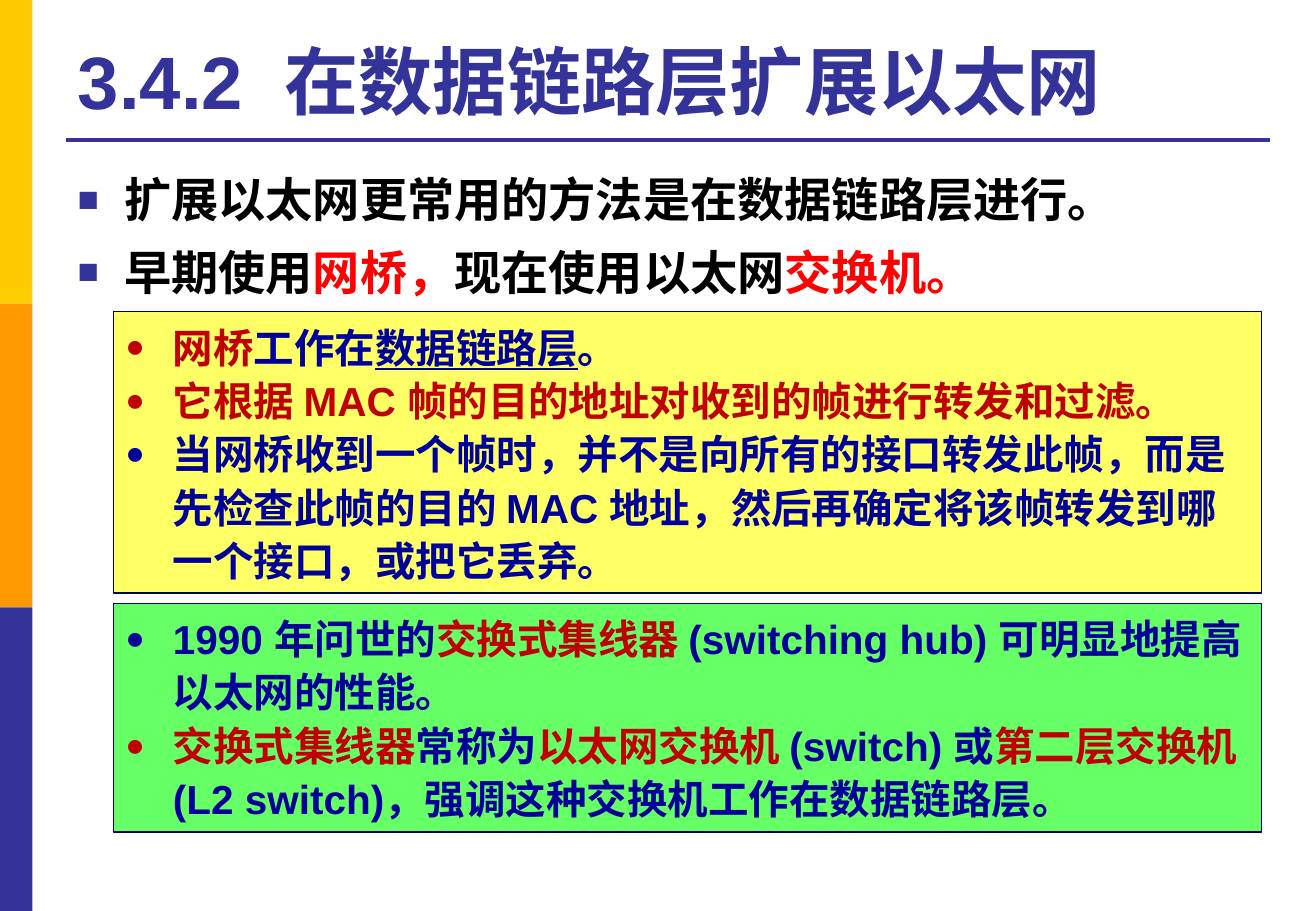
from dataclasses import dataclass
from typing import Optional

from lxml.etree import SubElement
from pptx import Presentation
from pptx.dml.color import RGBColor
from pptx.enum.lang import MSO_LANGUAGE_ID as Language
from pptx.enum.shapes import MSO_CONNECTOR, MSO_SHAPE
from pptx.enum.text import MSO_ANCHOR, MSO_AUTO_SIZE, PP_ALIGN
from pptx.oxml.ns import qn
from pptx.slide import Slide
from pptx.text.text import TextFrame, _Paragraph as Paragraph, _Run as Run
from pptx.util import Emu, Pt

EMU_PER_PX = 7620
FONT = "Arial"
COLORS = {
    "yellow": "FFCC00",
    "orange": "FF9900",
    "indigo": "333399",
    "black": "000000",
    "red": "FF0000",
    "crimson": "C00000",
    "navy": "000099",
    "outline": "000066",
    "bridge": "FFFF66",
    "switch": "66FF66",
}


@dataclass(frozen=True)
class Span:
    text: str
    color: str
    underline: bool = False


@dataclass(frozen=True)
class ListStyle:
    size: int
    indent: int
    bullet: str
    bullet_percent: int
    space_before: int = 0
    bullet_color: Optional[str] = None


@dataclass(frozen=True)
class Panel:
    top: int
    height: int
    fill: str
    items: list[list[Span]]


BODY_STYLE = ListStyle(28, 46, "■", 75, 6, "indigo")
PANEL_STYLE = ListStyle(24, 47, "●", 80)

BODY_ITEMS = [
    [Span("扩展以太网更常用的方法是在数据链路层进行。", "black")],
    [
        Span("早期使用", "black"),
        Span("网桥，", "red"),
        Span("现在使用以太网", "black"),
        Span("交换机。", "red"),
    ],
]

PANELS = [
    Panel(308, 278, "bridge", [
        [
            Span("网桥", "crimson"),
            Span("工作在", "navy"),
            Span("数据链路层", "navy", True),
            Span("。", "navy"),
        ],
        [Span("它根据 MAC 帧的目的地址对收到的帧进行转发和过滤。", "crimson")],
        [Span("当网桥收到一个帧时，并不是向所有的接口转发此帧，而是先检查此帧的"
              "目的 MAC 地址，然后再确定将该帧转发到哪一个接口，或把它丢弃。", "navy")],
    ]),
    Panel(596, 226, "switch", [
        [
            Span("1990 年问世的", "navy"),
            Span("交换式集线器 ", "crimson"),
            Span("(switching hub) 可明显地提高以太网的性能。", "navy"),
        ],
        [
            Span("交换式集线器", "crimson"),
            Span("常称为", "navy"),
            Span("以太网交换机 ", "crimson"),
            Span("(switch) 或", "navy"),
            Span("第二层交换机 ", "crimson"),
            Span("(L2 switch)，强调这种交换机工作在数据链路层。", "navy"),
        ],
    ]),
]


def px(length: int) -> Emu:
    return Emu(length * EMU_PER_PX)


def rgb(name: str) -> RGBColor:
    return RGBColor.from_string(COLORS[name])


def format_run(run: Run, size: int, color: str) -> None:
    run.font.name = FONT
    run.font.size = Pt(size)
    run.font.bold = True
    run.font.color.rgb = rgb(color)
    run.font.language_id = Language.SIMPLIFIED_CHINESE


def format_bullet(paragraph: Paragraph, style: ListStyle) -> None:
    properties = paragraph._p.get_or_add_pPr()
    properties.set("marL", str(px(style.indent)))
    properties.set("indent", str(-px(style.indent)))
    if style.bullet_color:
        color = SubElement(properties, qn("a:buClr"))
        SubElement(color, qn("a:srgbClr"), val=COLORS[style.bullet_color])
    SubElement(properties, qn("a:buSzPct"), val=str(style.bullet_percent * 1000))
    SubElement(properties, qn("a:buFont"), typeface=FONT)
    SubElement(properties, qn("a:buChar"), char=style.bullet)


def write_list(frame: TextFrame, items: list[list[Span]], style: ListStyle) -> None:
    frame.word_wrap = True
    frame.vertical_anchor = MSO_ANCHOR.TOP
    for index, spans in enumerate(items):
        paragraph = frame.add_paragraph() if index else frame.paragraphs[0]
        paragraph.alignment = PP_ALIGN.LEFT
        paragraph.line_spacing = 1.1
        paragraph.space_before = Pt(style.space_before)
        format_bullet(paragraph, style)
        for span in spans:
            run = paragraph.add_run()
            run.text = span.text
            format_run(run, style.size, span.color)
            if span.underline:
                run.font.underline = True


def add_rectangle(slide: Slide, left: int, top: int, width: int, height: int,
                  fill: str, outline: Optional[str] = None) -> TextFrame:
    shape = slide.shapes.add_shape(
        MSO_SHAPE.RECTANGLE, px(left), px(top), px(width), px(height))
    shape.shadow.inherit = False
    shape.fill.solid()
    shape.fill.fore_color.rgb = rgb(fill)
    if outline:
        shape.line.color.rgb = rgb(outline)
        shape.line.width = Pt(0.75)
    else:
        shape.line.fill.background()
    return shape.text_frame


def add_rule(slide: Slide) -> None:
    rule = slide.shapes.add_connector(
        MSO_CONNECTOR.STRAIGHT, px(65), px(138), px(1255), px(138))
    rule.line.color.rgb = rgb("indigo")
    rule.line.width = Pt(2.25)
    SubElement(rule._element.spPr, qn("a:effectLst"))


def write_title(slide: Slide) -> None:
    title = slide.shapes.title
    title.left, title.top, title.width, title.height = map(px, (65, 25, 1190, 104))
    frame = title.text_frame
    frame.text = "3.4.2  在数据链路层扩展以太网"
    frame.auto_size = MSO_AUTO_SIZE.NONE
    frame.vertical_anchor = MSO_ANCHOR.BOTTOM
    frame.paragraphs[0].alignment = PP_ALIGN.LEFT
    format_run(frame.paragraphs[0].runs[0], 44, "indigo")


def main() -> None:
    presentation = Presentation()
    presentation.slide_width = px(1300)
    presentation.slide_height = px(900)
    slide = presentation.slides.add_slide(
        presentation.slide_layouts.get_by_name("Title Only"))

    for index, color in enumerate(("yellow", "orange", "indigo")):
        add_rectangle(slide, 0, index * 300, 32, 300, color)
    add_rule(slide)
    write_title(slide)

    body = slide.shapes.add_textbox(px(65), px(157), px(1190), px(648))
    write_list(body.text_frame, BODY_ITEMS, BODY_STYLE)
    for panel in PANELS:
        frame = add_rectangle(
            slide, 112, panel.top, 1134, panel.height, panel.fill, "outline")
        write_list(frame, panel.items, PANEL_STYLE)
        frame.auto_size = MSO_AUTO_SIZE.SHAPE_TO_FIT_TEXT

    presentation.save("out.pptx")


if __name__ == "__main__":
    main()
